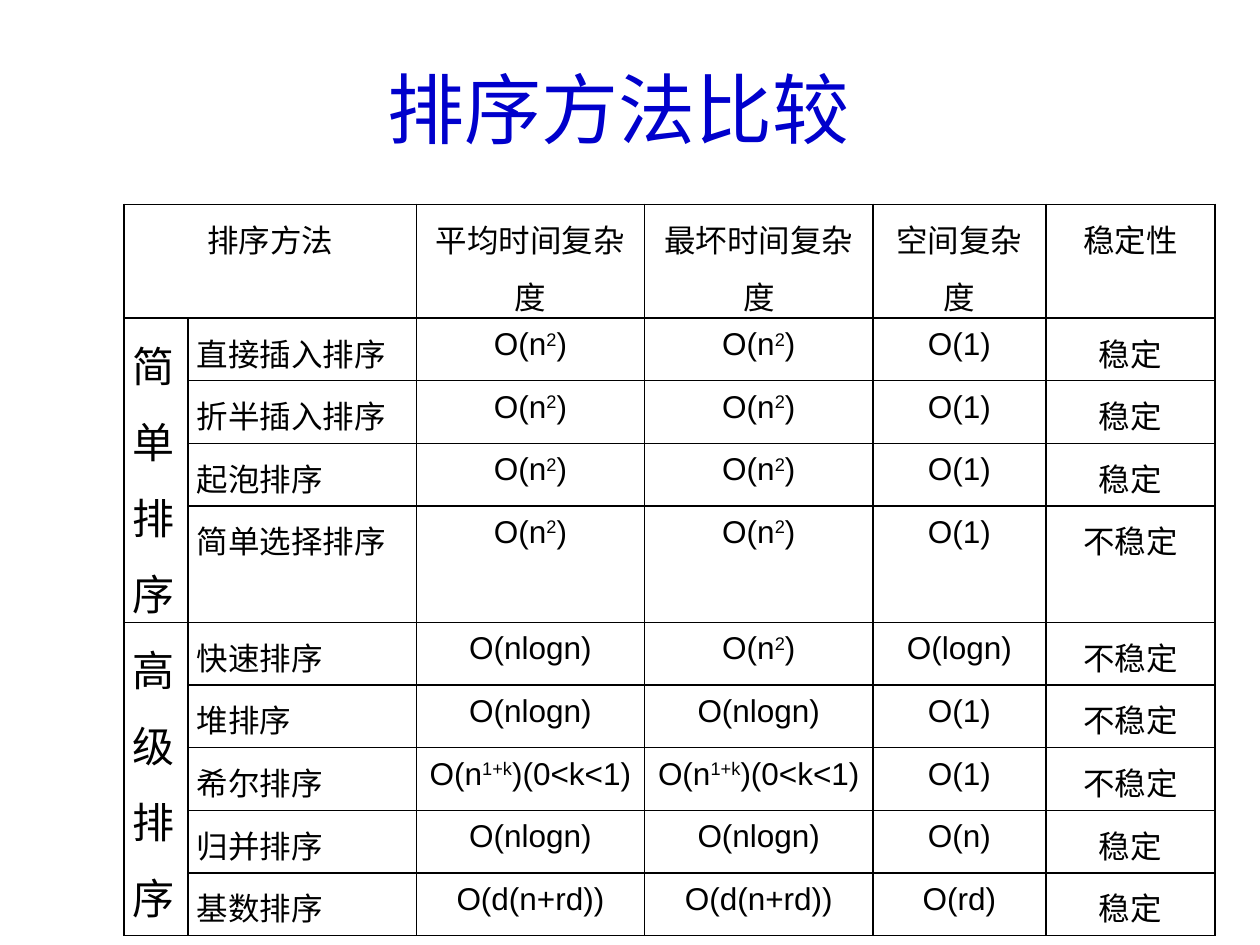
import pptx
import pptx.dml.color
import pptx.enum.text
import pptx.oxml.ns
import pptx.util
from lxml import etree

Pt = pptx.util.Pt
ALIGN = pptx.enum.text.PP_ALIGN
ANCHOR = pptx.enum.text.MSO_ANCHOR
qn = pptx.oxml.ns.qn

BLUE = pptx.dml.color.RGBColor(0x00, 0x00, 0xCC)
BLACK = pptx.dml.color.RGBColor(0x00, 0x00, 0x00)
LATIN_FONT = "Arial"
CHINESE_FONT = "Noto Sans CJK SC"

COLUMN_WIDTHS = [36.6, 130.5, 130.5, 130.5, 98.8, 96.6]
ROW_HEIGHT = 35.8
# The heading row and the last simple method are taller than the rest
TALL_ROWS = {0: 65, 4: 66.6}
HEADINGS = ["排序方法", "", "平均时间复杂度", "最坏时间复杂度", "空间复杂度", "稳定性"]

# Carets enclose superscripts
GROUPS = [
    ("简单排序", [
        ("直接插入排序", "O(n^2^)", "O(n^2^)", "O(1)", "稳定"),
        ("折半插入排序", "O(n^2^)", "O(n^2^)", "O(1)", "稳定"),
        ("起泡排序", "O(n^2^)", "O(n^2^)", "O(1)", "稳定"),
        ("简单选择排序", "O(n^2^)", "O(n^2^)", "O(1)", "不稳定"),
    ]),
    ("高级排序", [
        ("快速排序", "O(nlogn)", "O(n^2^)", "O(logn)", "不稳定"),
        ("堆排序", "O(nlogn)", "O(nlogn)", "O(1)", "不稳定"),
        ("希尔排序", "O(n^1+k^)(0<k<1)", "O(n^1+k^)(0<k<1)", "O(1)", "不稳定"),
        ("归并排序", "O(nlogn)", "O(nlogn)", "O(n)", "稳定"),
        ("基数排序", "O(d(n+rd))", "O(d(n+rd))", "O(rd)", "稳定"),
    ]),
]


def add_span(para, text, size, color, latin_font=LATIN_FONT):
    span = para.add_run()
    span.text = text
    span.font.size = Pt(size)
    span.font.color.rgb = color
    span.font.name = latin_font
    properties = span.font._element
    etree.SubElement(properties, qn("a:ea")).set("typeface", CHINESE_FONT)
    return span


def add_title(page, left, top, width, height):
    box = page.shapes.add_textbox(Pt(left), Pt(top), Pt(width), Pt(height))
    box.text_frame.word_wrap = True
    box.text_frame.vertical_anchor = ANCHOR.MIDDLE
    para = box.text_frame.paragraphs[0]
    para.alignment = ALIGN.CENTER
    add_span(para, "排序方法比较", 44, BLUE, CHINESE_FONT)


def style_cell(cell):
    cell.margin_left = cell.margin_right = Pt(5)
    cell.margin_top = cell.margin_bottom = Pt(0)
    properties = cell._tc.get_or_add_tcPr()
    for side in ("a:lnL", "a:lnR", "a:lnT", "a:lnB"):
        line = etree.SubElement(properties, qn(side), w=str(Pt(1)))
        fill = etree.SubElement(line, qn("a:solidFill"))
        etree.SubElement(fill, qn("a:srgbClr"), val=str(BLACK))
    cell.fill.background()


def write_cell(cell, lines, alignment=ALIGN.CENTER, size=18):
    frame = cell.text_frame
    for index, line in enumerate(lines):
        para = frame.add_paragraph() if index else frame.paragraphs[0]
        para.alignment = alignment
        para.line_spacing = 1.25
        for part, text in enumerate(line.split("^")):
            span = add_span(para, text, size, BLACK)
            if part % 2:
                span.font._element.set("baseline", "30000")


def add_comparison_table(page, left, top):
    row_count = 1 + sum(len(methods) for _, methods in GROUPS)
    heights = [TALL_ROWS.get(row, ROW_HEIGHT) for row in range(row_count)]
    frame = page.shapes.add_table(
        row_count, len(COLUMN_WIDTHS), Pt(left), Pt(top),
        Pt(sum(COLUMN_WIDTHS)), Pt(sum(heights)))
    table = frame.table
    table.first_row = table.horz_banding = False
    for column, width in zip(table.columns, COLUMN_WIDTHS):
        column.width = Pt(width)
    for row, height in zip(table.rows, heights):
        row.height = Pt(height)
    for cell in table.iter_cells():
        style_cell(cell)

    # Heading row
    table.cell(0, 0).merge(table.cell(0, 1))
    for column, heading in enumerate(HEADINGS):
        if heading:
            write_cell(table.cell(0, column), [heading])

    # Groups of methods, each with a vertical name on the left
    first = 1
    for name, methods in GROUPS:
        group_cell = table.cell(first, 0)
        group_cell.merge(table.cell(first + len(methods) - 1, 0))
        write_cell(group_cell, name, ALIGN.JUSTIFY, 24)
        for row, values in enumerate(methods, first):
            for column, value in enumerate(values, 1):
                alignment = ALIGN.JUSTIFY if column == 1 else ALIGN.CENTER
                write_cell(table.cell(row, column), [value], alignment)
        first += len(methods)


def main():
    deck = pptx.Presentation()
    deck.slide_width, deck.slide_height = Pt(720), Pt(540)
    page = deck.slides.add_slide(deck.slide_layouts[6])
    add_title(page, 29.5, 30.4, 648, 62.6)
    add_comparison_table(page, 70.8, 116.8)
    deck.save("out.pptx")


if __name__ == "__main__":
    main()
